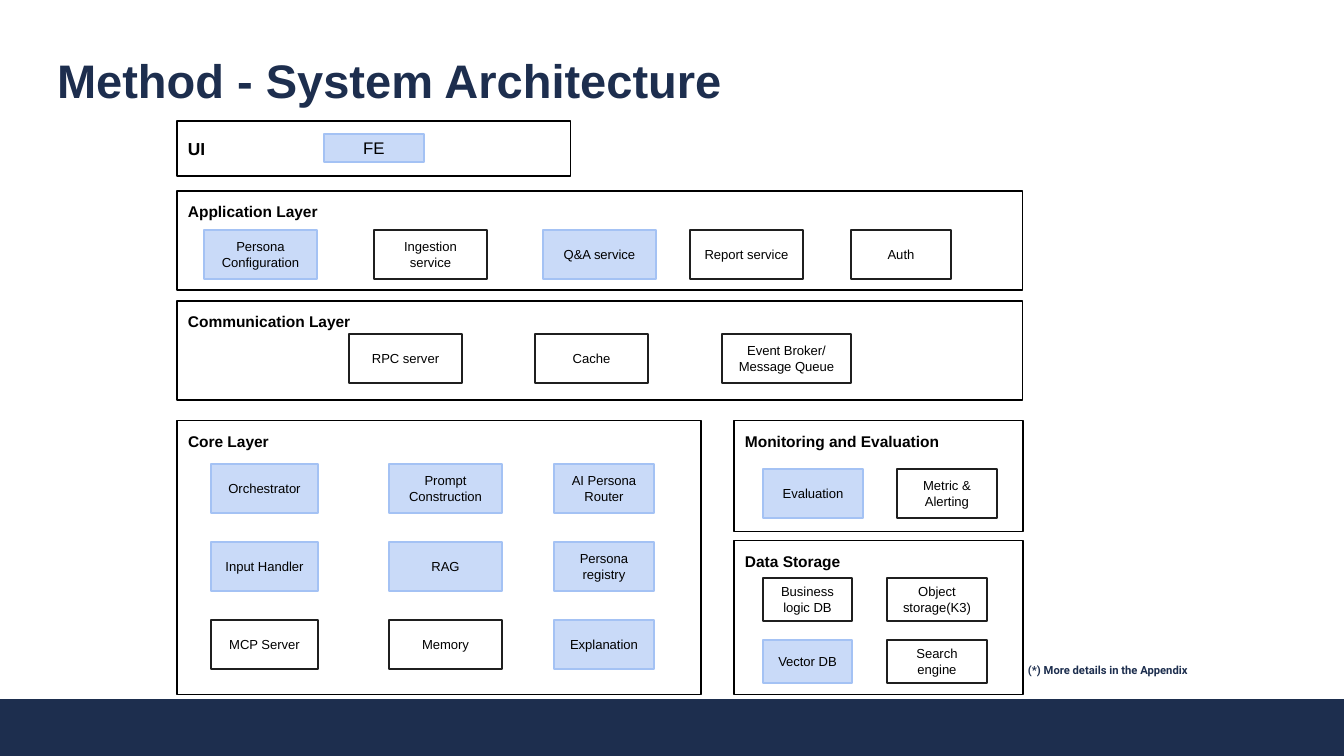
from pptx import Presentation
from pptx import util as u
from pptx.dml.color import RGBColor
from pptx.enum import shapes, text

PX = 914400 / 134.4
COLORS = {
    "navy": "1D2E4E",
    "white": "FFFFFF",
    "black": "000000",
    "charcoal": "1F1F1F",
    "pale blue": "C9DAF8",
    "mid blue": "A4C2F4",
}
TOP, MIDDLE, BOTTOM = text.MSO_ANCHOR.TOP, text.MSO_ANCHOR.MIDDLE, text.MSO_ANCHOR.BOTTOM
LEFT, CENTER = text.PP_ALIGN.LEFT, text.PP_ALIGN.CENTER


def write(shape, words, size, color="black", bold=False, name="Arial",
          margin=13, anchor=TOP, align=LEFT):
    frame = shape.text_frame
    frame.word_wrap = True
    frame.vertical_anchor = anchor
    for side in ("left", "top", "right", "bottom"):
        setattr(frame, f"margin_{side}", round(margin * PX))
    paragraph = frame.paragraphs[0]
    paragraph.alignment = align
    run = paragraph.add_run()
    run.text = words
    for key, value in {"size": u.Pt(size), "bold": bold, "name": name}.items():
        setattr(run.font, key, value)
    run.font.color.rgb = RGBColor.from_string(COLORS[color])
    return paragraph


def add_box(left, top, width, height, fill, line, weight=0.75):
    shape = slide.shapes.add_shape(
        shapes.MSO_SHAPE.RECTANGLE, *(round(n * PX) for n in (left, top, width, height)))
    shape.shadow.inherit = False
    shape.fill.solid()
    shape.fill.fore_color.rgb = RGBColor.from_string(COLORS[fill])
    shape.line.color.rgb = RGBColor.from_string(COLORS[line])
    shape.line.width = u.Pt(weight)
    return shape


presentation = Presentation()
presentation.slide_width = round(1344 * PX)
presentation.slide_height = round(756 * PX)
slide = presentation.slides.add_slide(presentation.slide_layouts[6])

title = slide.shapes.add_textbox(*(round(n * PX) for n in (44, 36, 949, 85)))
write(title, "Method - System Architecture", 25.2, "navy", bold=True, anchor=BOTTOM)
add_box(0, 700, 1344, 56, "navy", "navy")

# Layer: name, frame, text size, anchor
layers = [
    ("UI", (177, 121, 394, 55), 9.3, MIDDLE),
    ("Application Layer", (177, 191, 846, 99), 8.3, TOP),
    ("Communication Layer", (177, 301, 846, 99), 8.3, TOP),
    ("Core Layer", (177, 421, 524, 274), 8.3, TOP),
    ("Monitoring and Evaluation", (734, 421, 289, 111), 8.3, TOP),
    ("Data Storage", (734, 541, 289, 154), 8.3, TOP),
]
for name, frame, size, anchor in layers:
    layer = add_box(*frame, "white", "black", 0.63)
    write(layer, name, size, bold=True, margin=11, anchor=anchor)

# Row: top, height, text size, components as (left, width, name, highlighted)
rows = [
    (134, 28, 9, [(324, 100, "FE", True)]),
    (230, 49, 7, [
        (204, 113, "Persona Configuration", True),
        (374, 113, "Ingestion service", False),
        (543, 113, "Q&A service", True),
        (690, 113, "Report service", False),
        (851, 100, "Auth", False)]),
    (334, 49, 7, [
        (349, 113, "RPC server", False),
        (535, 113, "Cache", False),
        (722, 129, "Event Broker/ Message Queue", False)]),
    (469, 49, 7, [
        (763, 100, "Evaluation", True),
        (897, 100, "Metric & Alerting", False)]),
    (578, 43, 7, [
        (763, 89, "Business logic DB", False),
        (887, 100, "Object storage(K3)", False)]),
    (640, 43, 7, [
        (763, 89, "Vector DB", True),
        (887, 100, "Search engine", False)]),
]

core_columns = [(211, 107), (389, 113), (554, 100)]
core_names = [
    ("Orchestrator", "Prompt Construction", "AI Persona Router"),
    ("Input Handler", "RAG", "Persona registry"),
    ("MCP Server", "Memory", "Explanation"),
]
for index, names in enumerate(core_names):
    components = [(left, width, name, name not in ("MCP Server", "Memory"))
                  for (left, width), name in zip(core_columns, names)]
    rows.append((464 + 78 * index, 49, 7, components))

for top, height, size, components in rows:
    for left, width, name, highlighted in components:
        fill, line = ("pale blue", "mid blue") if highlighted else ("white", "charcoal")
        component = add_box(left, top, width, height, fill, line)
        write(component, name, size, anchor=MIDDLE, align=CENTER)

footnote = slide.shapes.add_textbox(*(round(n * PX) for n in (1015, 654, 214, 40)))
paragraph = write(footnote, "(*) More details in the Appendix", 6, "navy", bold=True, name="Roboto")
paragraph.line_spacing = 1.15
footnote.text_frame.auto_size = text.MSO_AUTO_SIZE.SHAPE_TO_FIT_TEXT

presentation.save("out.pptx")
